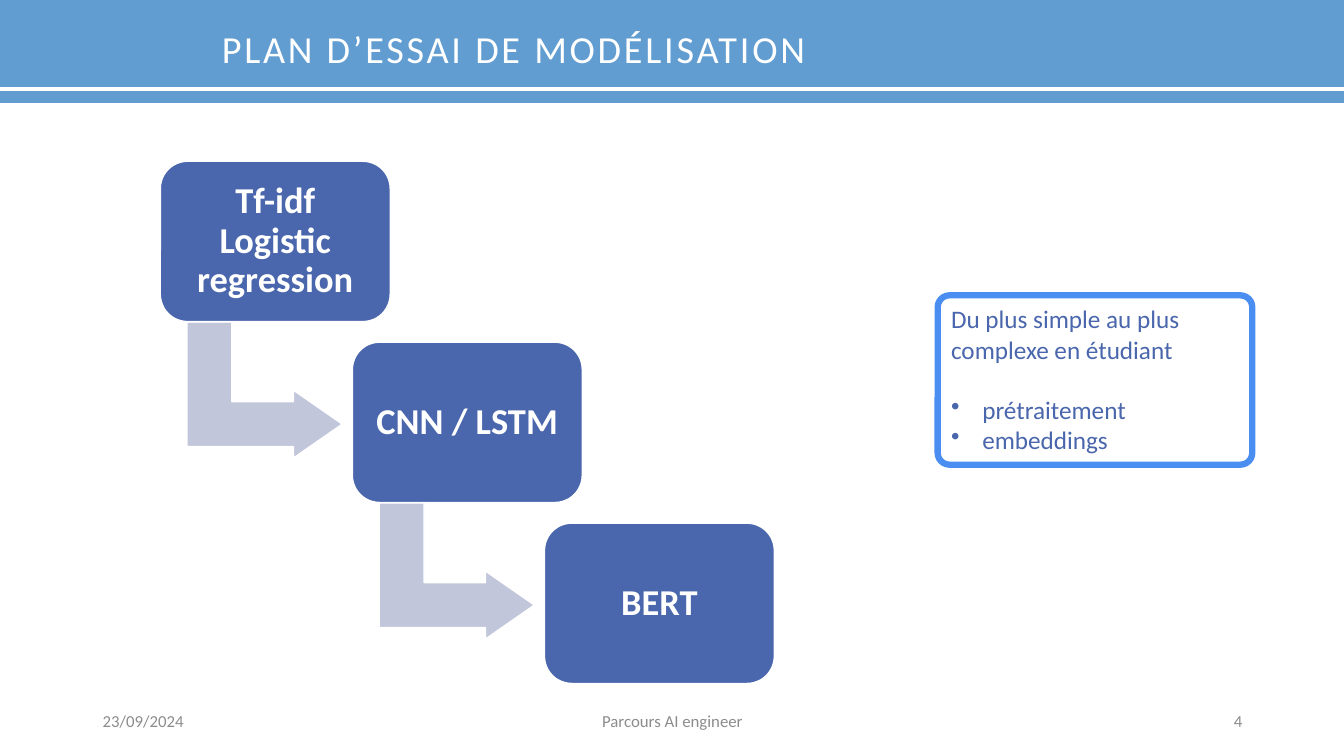
from lxml import etree
from pptx import Presentation
from pptx.dml.color import RGBColor
from pptx.enum.shapes import MSO_CONNECTOR, MSO_SHAPE
from pptx.enum.text import MSO_ANCHOR, PP_ALIGN
from pptx.oxml.ns import qn
from pptx.util import Inches, Pt

RECTANGLE, ROUNDED = MSO_SHAPE.RECTANGLE, MSO_SHAPE.ROUNDED_RECTANGLE
BENT_ARROW, STRAIGHT = MSO_SHAPE.BENT_UP_ARROW, MSO_CONNECTOR.STRAIGHT
TOP, MIDDLE = MSO_ANCHOR.TOP, MSO_ANCHOR.MIDDLE
LEFT, CENTER, RIGHT = PP_ALIGN.LEFT, PP_ALIGN.CENTER, PP_ALIGN.RIGHT

TITLE = "PLAN D’ESSAI DE MODÉLISATION"
STEPS = ["Tf-idf Logistic regression", "CNN / LSTM", "BERT"]
NOTE = "Du plus simple au plus complexe en étudiant"
NOTE_BULLETS = ["prétraitement", "embeddings"]
FOOTERS = [
    ("23/09/2024", 0.92, 3, LEFT),
    ("Parcours AI engineer", 4.42, 4.5, CENTER),
    ("4", 9.42, 3, RIGHT),
]

FONT = "Calibri"
WHITE, BANNER, STEP = "FFFFFF", "629DD1", "4A66AC"
ARROW, NOTE_BORDER, FOOTER = "C1C6DB", "4A8EF2", "8C8C8C"
SLIDE_WIDTH, SLIDE_HEIGHT = 13.33, 7.5
BANNER_HEIGHT, RULE_TOP = 1.02, 0.88
STEP_LEFT, STEP_TOP, STEP_WIDTH, STEP_HEIGHT = 1.59, 1.6, 2.28, 1.59
STEP_ACROSS, STEP_DOWN = 1.905, 1.795
ARROW_ACROSS, ARROW_DOWN, ARROW_WIDTH, ARROW_HEIGHT = 0.36, 1.5, 1.35, 1.54
NOTE_BOX = (9.3, 2.93, 3.12, 1.68)
NOTE_SIZE, BULLET_INDENT = 18, 0.31


def color(value):
    return RGBColor.from_string(value)


def add_box(slide, preset, box, fill, border=None, border_width=1, adjustments=()):
    shape = slide.shapes.add_shape(preset, *map(Inches, box))
    shape.shadow.inherit = False
    shape.fill.solid()
    shape.fill.fore_color.rgb = color(fill)
    if border:
        shape.line.color.rgb = color(border)
        shape.line.width = Pt(border_width)
    else:
        shape.line.fill.background()
    for index, amount in enumerate(adjustments):
        shape.adjustments[index] = amount
    return shape


def set_frame(shape, anchor, inset_x=0.1, inset_y=0.05):
    frame = shape.text_frame
    frame.word_wrap = True
    frame.vertical_anchor = anchor
    frame.margin_left = frame.margin_right = Inches(inset_x)
    frame.margin_top = frame.margin_bottom = Inches(inset_y)
    return frame


def write(paragraph, text, size, ink, alignment=LEFT, bold=False):
    paragraph.text = text
    paragraph.alignment = alignment
    paragraph.font.name = FONT
    paragraph.font.size = Pt(size)
    paragraph.font.bold = bold
    paragraph.font.color.rgb = color(ink)


def add_bullet(paragraph):
    properties = paragraph._p.get_or_add_pPr()
    properties.set("marL", str(Inches(BULLET_INDENT)))
    properties.set("indent", str(-Inches(BULLET_INDENT)))
    bullet = etree.Element(qn("a:buChar"), char="•")
    properties.find(qn("a:defRPr")).addprevious(bullet)


def add_banner(slide):
    banner = add_box(slide, RECTANGLE, (0, 0, SLIDE_WIDTH, BANNER_HEIGHT), BANNER)
    frame = set_frame(banner, MIDDLE, 0.2, 0.2)
    frame.margin_left = Inches(2.2)
    paragraph = frame.paragraphs[0]
    write(paragraph, TITLE, 27.3, WHITE)
    paragraph.line_spacing = 0.9
    paragraph.runs[0]._r.get_or_add_rPr().set("spc", "200")
    rule = slide.shapes.add_connector(
        STRAIGHT, 0, Inches(RULE_TOP), Inches(SLIDE_WIDTH), Inches(RULE_TOP))
    rule.line.color.rgb = color(WHITE)
    rule.line.width = Pt(3)
    etree.SubElement(rule._element.spPr, qn("a:effectLst"))


def add_steps(slide):
    for index, label in enumerate(STEPS):
        left = STEP_LEFT + index * STEP_ACROSS
        top = STEP_TOP + index * STEP_DOWN
        if index < len(STEPS) - 1:
            place = (left + ARROW_ACROSS, top + ARROW_DOWN, ARROW_WIDTH, ARROW_HEIGHT)
            arrow = add_box(slide, BENT_ARROW, place, ARROW, WHITE,
                            adjustments=(0.33, 0.25, 0.36))
            arrow.rotation = 90
        step = add_box(slide, ROUNDED, (left, top, STEP_WIDTH, STEP_HEIGHT),
                       STEP, WHITE, adjustments=(0.17,))
        paragraph = set_frame(step, MIDDLE, 0.11, 0.11).paragraphs[0]
        write(paragraph, label, 26, WHITE, CENTER, True)
        paragraph.line_spacing = 0.9


def add_note(slide):
    note = add_box(slide, ROUNDED, NOTE_BOX, WHITE, NOTE_BORDER, 4.5, (0.07,))
    frame = set_frame(note, TOP)
    write(frame.paragraphs[0], NOTE, NOTE_SIZE, STEP)
    for index, text in enumerate(NOTE_BULLETS):
        paragraph = frame.add_paragraph()
        write(paragraph, text, NOTE_SIZE, STEP)
        if index == 0:
            paragraph.space_before = Pt(NOTE_SIZE * 1.2)
        add_bullet(paragraph)


def add_footers(slide):
    for text, left, width, alignment in FOOTERS:
        box = slide.shapes.add_textbox(*map(Inches, (left, 6.95, width, 0.4)))
        write(set_frame(box, MIDDLE).paragraphs[0], text, 12, FOOTER, alignment)


def main():
    """Build the modelling plan slide and save it."""
    presentation = Presentation()
    presentation.slide_width = Inches(SLIDE_WIDTH)
    presentation.slide_height = Inches(SLIDE_HEIGHT)
    slide = presentation.slides.add_slide(presentation.slide_layouts[6])
    add_footers(slide)
    add_banner(slide)
    add_steps(slide)
    add_note(slide)
    presentation.save("out.pptx")


if __name__ == "__main__":
    main()
